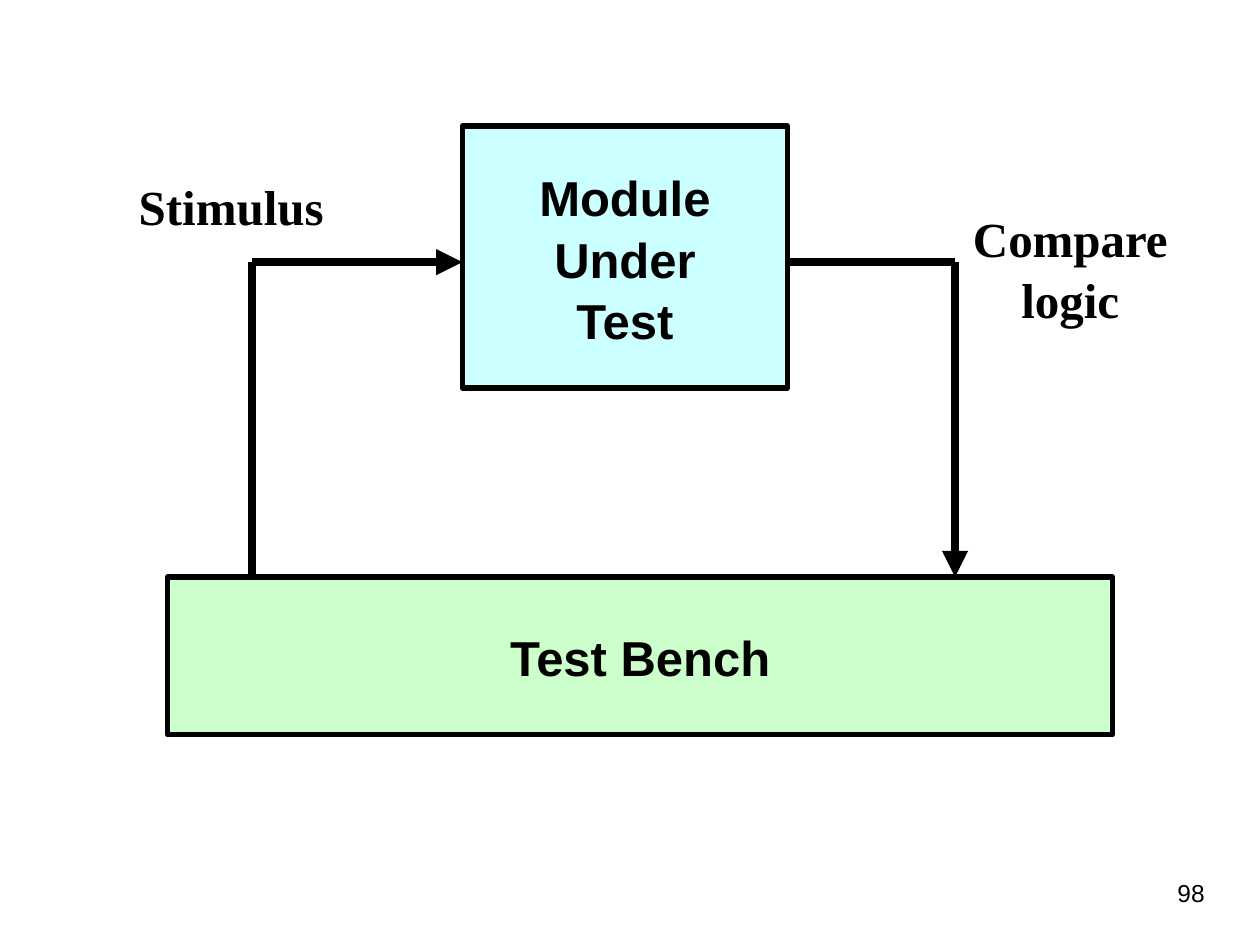
from lxml import etree
from pptx import Presentation
from pptx.dml.color import RGBColor
from pptx.enum.shapes import MSO_CONNECTOR, MSO_SHAPE
from pptx.enum.text import MSO_ANCHOR, PP_ALIGN
from pptx.oxml.ns import qn
from pptx.util import Inches, Pt

RECT = MSO_SHAPE.RECTANGLE
LINE = MSO_CONNECTOR.STRAIGHT
MID, TOP = MSO_ANCHOR.MIDDLE, MSO_ANCHOR.TOP
CENTER, RIGHT = PP_ALIGN.CENTER, PP_ALIGN.RIGHT
COLORS = {"ink": "000000", "module": "CCFFFF", "bench": "CCFFCC"}
SANS, SERIF = "Arial", "Times New Roman"

deck = Presentation()
deck.slide_width, deck.slide_height = Inches(10), Inches(7.5)
slide = deck.slides.add_slide(deck.slide_layouts[6])
shapes = slide.shapes


def color(key):
    return RGBColor.from_string(COLORS[key])


def write(shape, lines, font, size=28, bold=True, align=CENTER, anchor=TOP, wrap=True):
    frame = shape.text_frame
    frame.word_wrap = wrap
    frame.vertical_anchor = anchor
    for i, line in enumerate(lines):
        para = frame.paragraphs[0] if i == 0 else frame.add_paragraph()
        para.alignment = align
        if bold:
            para.line_spacing = 1.05
        run = para.add_run()
        run.text = line
        run.font.name = font
        run.font.size = Pt(size)
        run.font.bold = bold
        run.font.color.rgb = color("ink")


blocks = [
    ("module", (3.67, 1, 2.58, 2.08), ["Module", "Under", "Test"]),
    ("bench", (1.33, 4.58, 7.5, 1.25), ["Test Bench"]),
]
for fill, spot, lines in blocks:
    block = shapes.add_shape(RECT, *map(Inches, spot))
    block.shadow.inherit = False
    block.fill.solid()
    block.fill.fore_color.rgb = color(fill)
    block.line.color.rgb = color("ink")
    block.line.width = Pt(3)
    write(block, lines, SANS, anchor=MID, wrap=False)

wires = [
    ((2, 4.58, 2, 2.08), False),
    ((2, 2.08, 3.67, 2.08), True),
    ((6.25, 2.08, 7.58, 2.08), False),
    ((7.58, 2.08, 7.58, 4.58), True),
]
for ends, arrow in wires:
    wire = shapes.add_connector(LINE, *map(Inches, ends))
    wire.line.color.rgb = color("ink")
    wire.line.width = Pt(5)
    if arrow:
        etree.SubElement(wire.line._get_or_add_ln(), qn("a:tailEnd"), type="triangle")
    etree.SubElement(wire._element.spPr, qn("a:effectLst"))

labels = [
    ((7.33, 1.58, 2.33, 1.03), ["Compare", "logic"]),
    ((0.67, 1.33, 2.33, 0.57), ["Stimulus"]),
]
for spot, lines in labels:
    write(shapes.add_textbox(*map(Inches, spot)), lines, SERIF)

number = shapes.add_textbox(Inches(7.58), Inches(6.92), Inches(2.08), Inches(0.33))
write(number, ["98"], SANS, size=14, bold=False, align=RIGHT)

deck.save("out.pptx")
